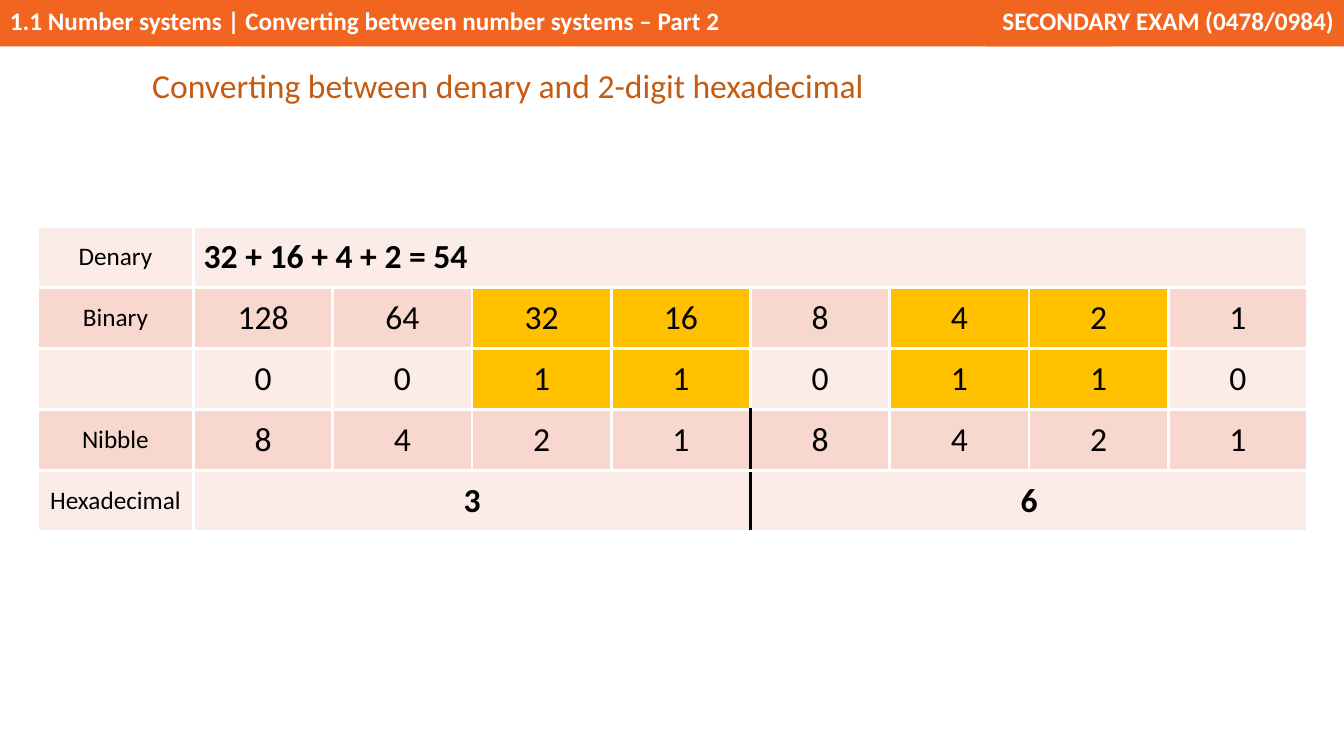
import pptx
import pptx.dml.color
import pptx.enum.shapes
import pptx.enum.text
import pptx.oxml
import pptx.oxml.ns
import pptx.util
from pptx.util import Inches

ALIGN = pptx.enum.text.PP_ALIGN
ANCHOR = pptx.enum.text.MSO_ANCHOR
ORANGE, RUST, GOLD = "F26521", "C55A11", "FFC000"
BANDS = ["FCECE8", "F8D7CE"]
WHITE, BLACK = "FFFFFF", "000000"

LABELS = ["Denary", "Binary", "", "Nibble", "Hexadecimal"]
PLACE_VALUES = [128, 64, 32, 16, 8, 4, 2, 1]
BITS = [0, 0, 1, 1, 0, 1, 1, 0]
NIBBLES = [8, 4, 2, 1] * 2
NIBBLE_END = 4  # last column of the first nibble


def colour(value):
    return pptx.dml.color.RGBColor.from_string(value)


def write(frame, text, size=24, color=BLACK, bold=False, align=ALIGN.LEFT):
    para = frame.paragraphs[0]
    para.alignment = align
    span = para.add_run()
    span.text = text
    span.font.name = "Calibri"
    span.font.size = pptx.util.Pt(size)
    span.font.bold = bold
    span.font.color.rgb = colour(color)
    return para


def add_header(page, left, top, width, height):
    parts = [
        (left, 11.04, ALIGN.LEFT, "1.1 Number systems | Converting between number systems – Part 2"),
        (left + width - 3.55, 3.55, ALIGN.RIGHT, "SECONDARY EXAM (0478/0984)"),
    ]
    for part_left, part_width, align, text in parts:
        box = page.shapes.add_shape(
            pptx.enum.shapes.MSO_SHAPE.RECTANGLE,
            Inches(part_left), Inches(top), Inches(part_width), Inches(height))
        box.shadow.inherit = False
        box.fill.solid()
        box.fill.fore_color.rgb = colour(ORANGE)
        box.line.fill.background()
        box.text_frame.word_wrap = True
        box.text_frame.vertical_anchor = ANCHOR.TOP
        write(box.text_frame, text, size=18, color=WHITE, bold=True, align=align)


def add_title(page, left, top, width, height):
    title = page.shapes.title
    title.left, title.top = Inches(left), Inches(top)
    title.width, title.height = Inches(width), Inches(height)
    frame = title.text_frame
    frame.word_wrap = True
    frame.vertical_anchor = ANCHOR.TOP
    frame.auto_size = pptx.enum.text.MSO_AUTO_SIZE.SHAPE_TO_FIT_TEXT
    para = write(frame, "Converting between denary and 2-digit hexadecimal", color=RUST)
    para.line_spacing = 1.07
    para.space_after = pptx.util.Pt(8)


def set_borders(cell, **special):
    for side in "LRTB":
        line = pptx.oxml.parse_xml(
            f'<a:ln{side} {pptx.oxml.ns.nsdecls("a")} w="{pptx.util.Pt(2.25)}"><a:solidFill>'
            f'<a:srgbClr val="{special.get(side, WHITE)}"/></a:solidFill></a:ln{side}>')
        cell._tc.get_or_add_tcPr().append(line)


def add_conversion_table(page, left, top, width, height):
    rows, columns, label_width = len(LABELS), len(BITS) + 1, 1.55
    table = page.shapes.add_table(
        rows, columns, Inches(left), Inches(top), Inches(width), Inches(height)).table
    table.first_row = table.horz_banding = False
    for index, column in enumerate(table.columns):
        column.width = Inches((width - label_width) / (columns - 1) if index else label_width)
    for row in table.rows:
        row.height = Inches(height / rows)

    # Fills, borders and the divider between the nibbles
    for row in range(rows):
        for column in range(columns):
            cell = table.cell(row, column)
            divided = row >= 3
            ends_nibble = column == NIBBLE_END or (row == 4 and column == 1)
            set_borders(cell,
                        R=BLACK if divided and ends_nibble else WHITE,
                        L=BLACK if divided and column == NIBBLE_END + 1 else WHITE)
            is_set_bit = row in (1, 2) and column > 0 and BITS[column - 1] == 1
            cell.fill.solid()
            cell.fill.fore_color.rgb = colour(GOLD if is_set_bit else BANDS[row % 2])
            cell.vertical_anchor = ANCHOR.MIDDLE

    # Row labels
    for row, label in enumerate(LABELS):
        if label:
            write(table.cell(row, 0).text_frame, label, size=18, align=ALIGN.CENTER)

    # Digits
    for row, digits in enumerate([PLACE_VALUES, BITS, NIBBLES], start=1):
        for column, digit in enumerate(digits, start=1):
            write(table.cell(row, column).text_frame, str(digit), align=ALIGN.CENTER)

    # Merged results
    results = [
        (0, 1, 8, "32 + 16 + 4 + 2 = 54", ALIGN.LEFT),
        (4, 1, 4, "3", ALIGN.CENTER),
        (4, 5, 8, "6", ALIGN.CENTER),
    ]
    for row, first, last, text, align in results:
        cell = table.cell(row, first)
        cell.merge(table.cell(row, last))
        write(cell.text_frame, text, bold=True, align=align)


def main():
    deck = pptx.Presentation()
    deck.slide_width, deck.slide_height = Inches(13.33), Inches(7.5)
    page = deck.slides.add_slide(deck.slide_layouts.get_by_name("Title Only"))
    add_header(page, 0, 0, 13.33, 0.46)
    add_title(page, 1.41, 0.57, 7.42, 0.51)
    add_conversion_table(page, 0.37, 2.25, 12.6, 3.02)
    deck.save("out.pptx")


if __name__ == "__main__":
    main()
